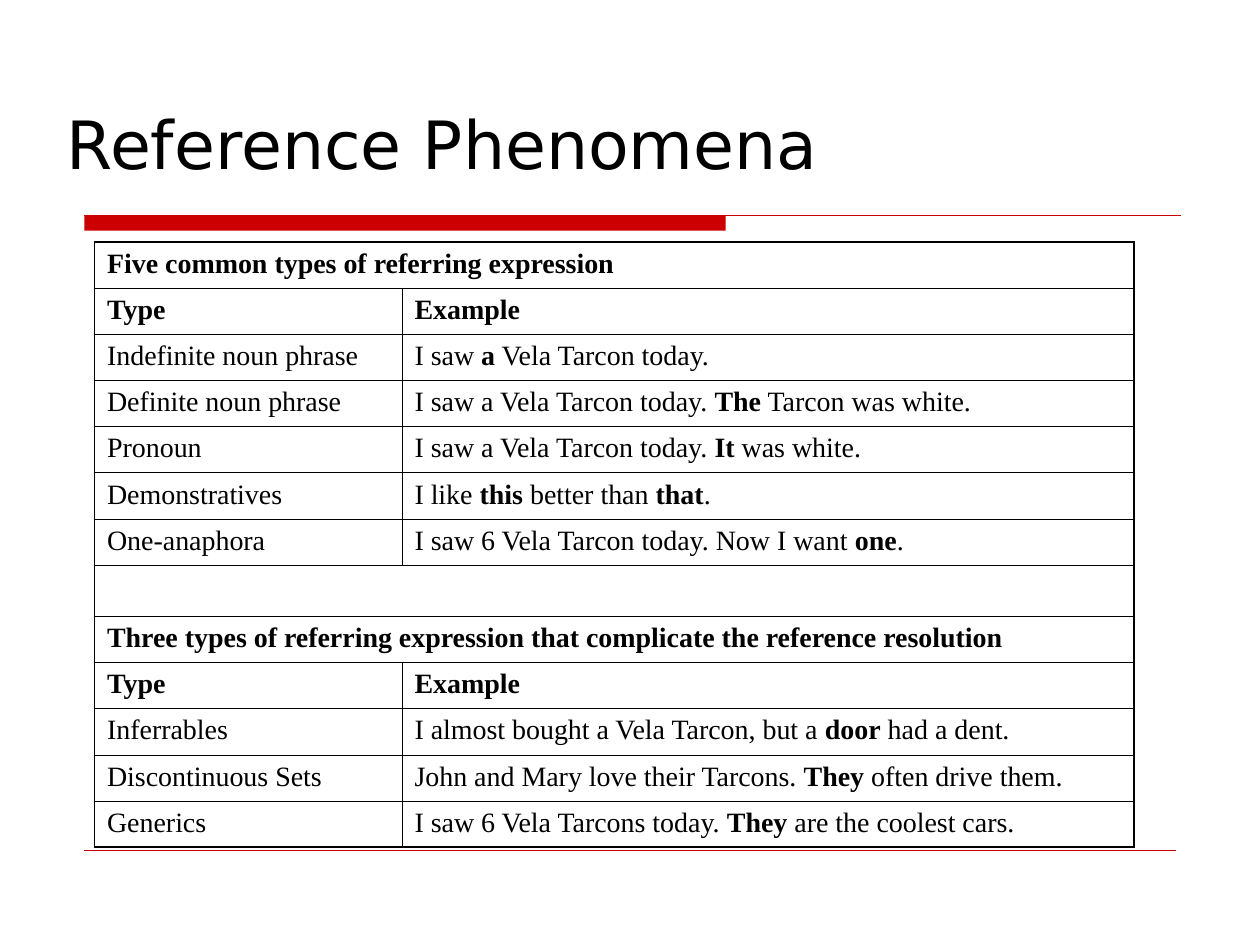
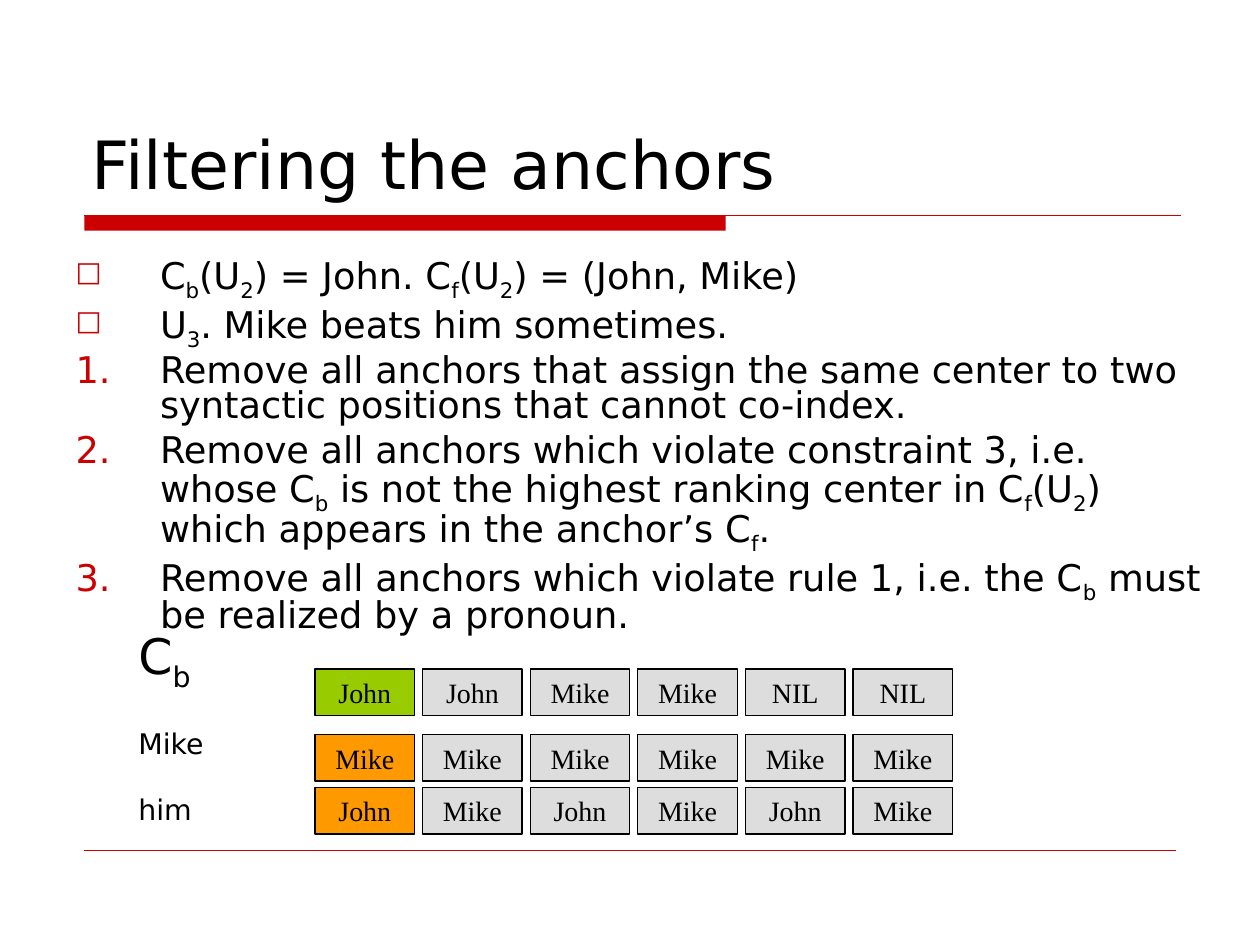
from lxml.etree import SubElement
from pptx import Presentation
from pptx.dml.color import RGBColor
from pptx.enum.shapes import MSO_CONNECTOR, MSO_SHAPE
from pptx.enum.text import MSO_ANCHOR, MSO_AUTO_SIZE, PP_ALIGN
from pptx.oxml.ns import qn
from pptx.util import Inches, Pt

COLORS = {"red": "CC0000", "black": "000000", "green": "99CC00",
          "orange": "FF9900", "grey": "DDDDDD"}
SANS, SERIF = "DejaVu Sans", "Times New Roman"


def rgb(name):
    return RGBColor.from_string(COLORS[name])


def write(p, text, size=16, font=SERIF, color="black", bold=False, mark="bold"):
    """Fill a paragraph; parts between bars are bold or subscript, as mark says."""
    for i, part in enumerate(text.split("|")):
        for j, line in enumerate(part.split("\n")):
            if j:
                p.add_line_break()
            if not line:
                continue
            r = p.add_run()
            r.text = line
            r.font.size, r.font.name = Pt(size), font
            r.font.color.rgb = rgb(color)
            r.font.bold = bold or (i % 2 == 1 and mark == "bold")
            if i % 2 and mark == "sub":
                r._r.get_or_add_rPr().set("baseline", "-25000")


class Deck:
    LEFT, RIGHT = 0.67, 9.37

    def __init__(self):
        self.prs = Presentation()
        self.prs.slide_width, self.prs.slide_height = Inches(10), Inches(7.5)
        self.s = None

    def add_slide(self, layout, title, box):
        self.s = self.prs.slides.add_slide(self.prs.slide_layouts[layout])
        self.rect(self.LEFT, 1.71, 5.09, 0.12, "red")
        self.rule(1.71, self.RIGHT, 0.75)
        self.rule(6.75, 9.33, 0.25)
        tf = self.place(self.s.shapes.title, box, MSO_ANCHOR.BOTTOM)
        tf.paragraphs[0].alignment = PP_ALIGN.LEFT
        write(tf.paragraphs[0], title, size=38, font=SANS)

    def place(self, sp, box, anchor):
        sp.left, sp.top, sp.width, sp.height = map(Inches, box)
        tf = sp.text_frame
        tf.word_wrap, tf.auto_size = True, MSO_AUTO_SIZE.NONE
        tf.vertical_anchor = anchor
        return tf

    def rule(self, y, right, width):
        line = self.s.shapes.add_connector(
            MSO_CONNECTOR.STRAIGHT, Inches(self.LEFT), Inches(y), Inches(right), Inches(y))
        line.line.color.rgb, line.line.width = rgb("red"), Pt(width)
        SubElement(line._element.spPr, qn("a:effectLst"))

    def rect(self, x, y, w, h, fill):
        sp = self.s.shapes.add_shape(
            MSO_SHAPE.RECTANGLE, Inches(x), Inches(y), Inches(w), Inches(h))
        sp.shadow.inherit = False
        sp.fill.solid()
        sp.fill.fore_color.rgb = rgb(fill)
        sp.line.fill.background()
        return sp

    def chip(self, x, y, text, fill):
        sp = self.rect(x, y, 0.79, 0.37, fill)
        sp.line.color.rgb, sp.line.width = rgb("black"), Pt(0.75)
        p = sp.text_frame.paragraphs[0]
        p.alignment = PP_ALIGN.CENTER
        write(p, text)

    def label(self, box, text, **fmt):
        sp = self.s.shapes.add_textbox(*map(Inches, box))
        tf = self.place(sp, box, MSO_ANCHOR.BOTTOM)
        write(tf.paragraphs[0], text, **fmt)

    def bullet(self, p, numbered):
        pPr = p._p.get_or_add_pPr()
        pPr.set("marL", str(Inches(0.67)))
        pPr.set("indent", str(-Inches(0.67)))
        clr = SubElement(pPr, qn("a:buClr"))
        SubElement(clr, qn("a:srgbClr")).set("val", COLORS["red"])
        SubElement(pPr, qn("a:buSzPct")).set("val", "100000" if numbered else "75000")
        SubElement(pPr, qn("a:buFont")).set("typeface", SANS)
        if numbered:
            SubElement(pPr, qn("a:buAutoNum")).set("type", "arabicPeriod")
        else:
            SubElement(pPr, qn("a:buChar")).set("char", "□")

    def body(self, box, items):
        tf = self.place(self.s.placeholders[1], box, MSO_ANCHOR.TOP)
        for i, (numbered, text) in enumerate(items):
            p = tf.add_paragraph() if i else tf.paragraphs[0]
            self.bullet(p, numbered)
            p.line_spacing, p.space_before = 0.8, Pt(5.2 if i else 0)
            write(p, text, size=21, font=SANS, mark="sub")

    def border(self, cell, side, width):
        ln = SubElement(cell._tc.get_or_add_tcPr(), qn("a:" + side), w=str(Pt(width)))
        fill = SubElement(ln, qn("a:solidFill"))
        SubElement(fill, qn("a:srgbClr")).set("val", COLORS["black"])

    def table(self, x, y, widths, height, rows):
        n, m = len(rows), len(widths)
        frame = self.s.shapes.add_table(
            n, m, Inches(x), Inches(y), Inches(sum(widths)), Inches(height))
        table = frame.table
        table.first_row = table.horz_banding = False
        for col, width in zip(table.columns, widths):
            col.width = Inches(width)
        for i, row in enumerate(rows):
            table.rows[i].height = Inches(height / n)
            if len(row) == 1:
                table.cell(i, 0).merge(table.cell(i, m - 1))
            for j in range(m):
                cell = table.cell(i, j)
                outer = {"lnL": j == 0, "lnR": j == m - 1 or len(row) == 1,
                         "lnT": i == 0, "lnB": i == n - 1}
                for side, is_outer in outer.items():
                    self.border(cell, side, 1.08 if is_outer else 0.45)
                cell.fill.background()
                if j < len(row):
                    heading = len(row) == 1 or row[0] == "Type"
                    write(cell.text_frame.paragraphs[0], row[j], bold=heading)


REFERENCE_ROWS = [
    ("Five common types of referring expression",),
    ("Type", "Example"),
    ("Indefinite noun phrase", "I saw |a| Vela Tarcon today."),
    ("Definite noun phrase", "I saw a Vela Tarcon today. |The| Tarcon was white."),
    ("Pronoun", "I saw a Vela Tarcon today. |It| was white."),
    ("Demonstratives", "I like |this| better than |that|."),
    ("One-anaphora", "I saw 6 Vela Tarcon today. Now I want |one|."),
    ("",),
    ("Three types of referring expression that complicate the reference resolution",),
    ("Type", "Example"),
    ("Inferrables", "I almost bought a Vela Tarcon, but a |door| had a dent."),
    ("Discontinuous Sets", "John and Mary love their Tarcons. |They| often drive them."),
    ("Generics", "I saw 6 Vela Tarcons today. |They| are the coolest cars."),
]

# Each item: numbered or not, text
FILTER_STEPS = [
    (False, "C|b|(U|2|) = John. C|f|(U|2|) = (John, Mike)"),
    (False, "U|3|. Mike beats him sometimes."),
    (True, "Remove all anchors that assign the same center to two syntactic "
           "positions that cannot co-index."),
    (True, "Remove all anchors which violate constraint 3, i.e. whose C|b| is not the "
           "highest ranking center in C|f|(U|2|) which appears in the anchor’s C|f|."),
    (True, "Remove all anchors which violate rule 1, i.e. the C|b| must be realized "
           "by a pronoun."),
]

# Each row: top, fill of the chosen anchor, names
ANCHOR_ROWS = [
    (5.31, "green", ["John", "John", "Mike", "Mike", "NIL", "NIL"]),
    (5.83, "orange", ["Mike"] * 6),
    (6.25, "orange", ["John", "Mike"] * 3),
]


def main():
    deck = Deck()

    # Reference phenomena
    deck.add_slide(5, "Reference Phenomena", (0.43, 0, 9, 1.5))
    deck.table(0.75, 1.92, (2.44, 5.81), 4.77, REFERENCE_ROWS)

    # Filtering the anchors
    deck.add_slide(1, "Filtering the anchors", (0.63, 0.33, 8.75, 1.33))
    deck.body((0.5, 1.99, 9.22, 3.26), FILTER_STEPS)
    deck.label((1, 5.25, 0.98, 1.36), "C|b\nMike\nhim", size=28, font=SANS, mark="sub")
    first, last = 2.5, 6.77
    for top, chosen, names in ANCHOR_ROWS:
        pitch = (last - first) / (len(names) - 1)
        for i, name in enumerate(names):
            deck.chip(first + i * pitch, top, name, "grey" if i else chosen)

    deck.prs.save("out.pptx")


if __name__ == "__main__":
    main()
